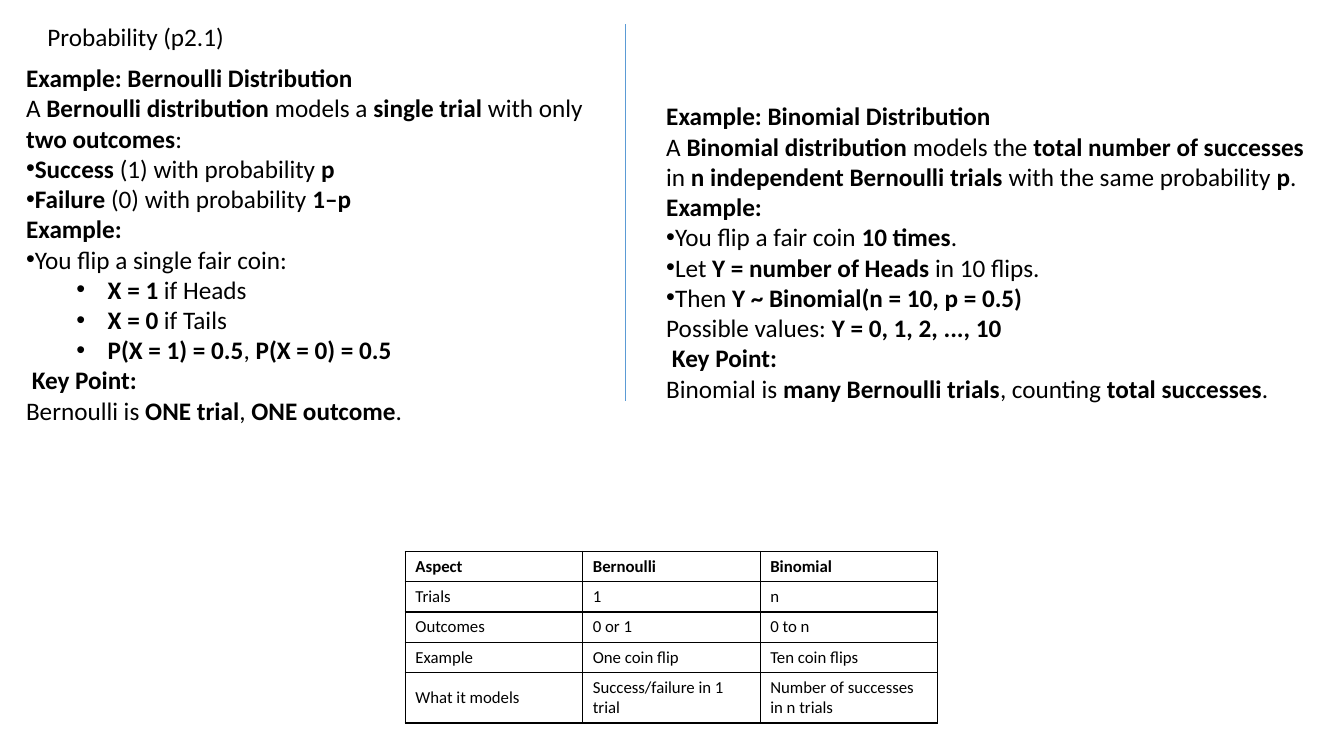
import pptx
import pptx.dml.color
import pptx.enum.shapes
import pptx.enum.text
import pptx.oxml
import pptx.oxml.ns
import pptx.util

COLORS = {"text": "000000", "border": "000000", "divider": "5B9BD5"}
BULLETS = {"plain": None, "bullet": (0, 0, 0), "nested": (1, 81, -31)}

BERNOULLI = [
    ("plain", "**Example: Bernoulli Distribution**"),
    ("plain", "A **Bernoulli distribution** models a **single trial** with only **two outcomes**:"),
    ("bullet", "**Success** (1) with probability **p**"),
    ("bullet", "**Failure** (0) with probability **1–p**"),
    ("plain", "**Example:**"),
    ("bullet", "You flip a single fair coin:"),
    ("nested", "**X = 1** if Heads"),
    ("nested", "**X = 0** if Tails"),
    ("nested", "**P(X = 1) = 0.5**, **P(X = 0) = 0.5**"),
    ("plain", " **Key Point:**\nBernoulli is **ONE trial**, **ONE outcome**."),
]
BINOMIAL = [
    ("plain", "**Example: Binomial Distribution**"),
    ("plain", "A **Binomial distribution** models the **total number of successes** in "
              "**n independent Bernoulli trials** with the same probability **p**."),
    ("plain", "**Example:**"),
    ("bullet", "You flip a fair coin **10 times**."),
    ("bullet", "Let **Y = number of Heads** in 10 flips."),
    ("bullet", "Then **Y ~ Binomial(n = 10, p = 0.5)**"),
    ("plain", "Possible values: **Y = 0, 1, 2, ..., 10**"),
    ("plain", " **Key Point:**\nBinomial is **many Bernoulli trials**, counting **total successes**."),
]
COMPARISON = [
    ("Aspect", "Bernoulli", "Binomial"),
    ("Trials", "1", "n"),
    ("Outcomes", "0 or 1", "0 to n"),
    ("Example", "One coin flip", "Ten coin flips"),
    ("What it models", "Success/failure in 1 trial", "Number of successes in n trials"),
]


def px(length):
    """Turn px into EMU at 100 px to the inch."""
    return pptx.util.Emu(length * 9144)


def color(name):
    """Look up a named colour."""
    return pptx.dml.color.RGBColor.from_string(COLORS[name])


class SlideBuilder:
    """Hold the text style and the current slide."""

    def __init__(self, slide, font="Calibri"):
        """Keep the slide and the font."""
        self.slide = slide
        self.font = font

    def add_runs(self, paragraph, text, size):
        """Add text whose bold parts stand between double asterisks."""
        for index, line in enumerate(text.split("\n")):
            if index:
                paragraph.add_line_break()
            for part, words in enumerate(line.split("**")):
                if words:
                    run = paragraph.add_run()
                    run.text = words
                    values = {"name": self.font, "size": pptx.util.Pt(size), "bold": part % 2 == 1}
                    for key, value in values.items():
                        setattr(run.font, key, value)
                    run.font.color.rgb = color("text")

    def bullet(self, paragraph, level, margin, indent):
        """Give a paragraph a bullet with a hanging indent."""
        paragraph.level = level
        properties = paragraph._p.get_or_add_pPr()
        properties.set("marL", str(px(margin)))
        properties.set("indent", str(px(indent)))
        for tag, key, value in (("buFont", "typeface", "Arial"), ("buChar", "char", "•")):
            element = pptx.oxml.parse_xml(
                f'<a:{tag} {pptx.oxml.ns.nsdecls("a")} {key}="{value}"/>')
            properties.append(element)

    def title(self, text, left, top, width, height):
        """Place and format the title placeholder."""
        shape = self.slide.shapes.title
        place = {"left": left, "top": top, "width": width, "height": height}
        for key, value in place.items():
            setattr(shape, key, px(value))
        frame = shape.text_frame
        values = {"word_wrap": False, "vertical_anchor": pptx.enum.text.MSO_ANCHOR.TOP,
                  "auto_size": pptx.enum.text.MSO_AUTO_SIZE.SHAPE_TO_FIT_TEXT}
        for key, value in values.items():
            setattr(frame, key, value)
        paragraph = frame.paragraphs[0]
        paragraph.alignment = pptx.enum.text.PP_ALIGN.LEFT
        self.add_runs(paragraph, text, 18)

    def text_box(self, lines, left, top, width, height):
        """Add a wrapped text box of plain and bulleted paragraphs."""
        frame = self.slide.shapes.add_textbox(*map(px, (left, top, width, height))).text_frame
        frame.word_wrap = True
        frame.auto_size = pptx.enum.text.MSO_AUTO_SIZE.SHAPE_TO_FIT_TEXT
        for index, (kind, text) in enumerate(lines):
            paragraph = frame.add_paragraph() if index else frame.paragraphs[0]
            if BULLETS[kind]:
                self.bullet(paragraph, *BULLETS[kind])
            self.add_runs(paragraph, text, 18)

    def divider(self, left, top, bottom):
        """Add a thin vertical line."""
        line = self.slide.shapes.add_connector(
            pptx.enum.shapes.MSO_CONNECTOR.STRAIGHT, *map(px, (left, top, left, bottom)))
        line.line.width = pptx.util.Pt(0.5)
        line.line.color.rgb = color("divider")
        line._element.spPr.append(
            pptx.oxml.parse_xml(f'<a:effectLst {pptx.oxml.ns.nsdecls("a")}/>'))

    def cell(self, cell, text):
        """Fill in a table cell with a border on every side and no fill."""
        cell.vertical_anchor = pptx.enum.text.MSO_ANCHOR.MIDDLE
        properties = cell._tc.get_or_add_tcPr()
        for side in "LRTB":
            properties.append(pptx.oxml.parse_xml(
                f'<a:ln{side} {pptx.oxml.ns.nsdecls("a")} w="12700"><a:solidFill>'
                f'<a:srgbClr val="{COLORS["border"]}"/></a:solidFill></a:ln{side}>'))
        cell.fill.background()
        self.add_runs(cell.text_frame.paragraphs[0], text, 12)

    def table(self, rows, left, top, column_width, row_heights):
        """Add a bordered table with a bold first row."""
        size = column_width * len(rows[0]), sum(row_heights)
        table = self.slide.shapes.add_table(
            len(rows), len(rows[0]), *map(px, (left, top, *size))).table
        for key in ("first_row", "horz_banding"):
            setattr(table, key, False)
        for column in table.columns:
            column.width = px(column_width)
        for index, (row, texts) in enumerate(zip(table.rows, rows)):
            row.height = px(row_heights[index])
            for cell, text in zip(row.cells, texts):
                self.cell(cell, text if index else f"**{text}**")


def main():
    """Build the probability slide and save it."""
    presentation = pptx.Presentation()
    presentation.slide_width = px(1333)
    presentation.slide_height = px(750)
    builder = SlideBuilder(presentation.slides.add_slide(presentation.slide_layouts[5]))
    builder.title("Probability (p2.1)", 37, 16, 197, 40)
    builder.text_box(BERNOULLI, 16, 57, 589, 374)
    builder.divider(620, 24, 398)
    builder.text_box(BINOMIAL, 651, 95, 667, 313)
    builder.table(COMPARISON, 402, 547, 176, [30, 30, 30, 30, 50])
    presentation.save("out.pptx")


if __name__ == "__main__":
    main()
